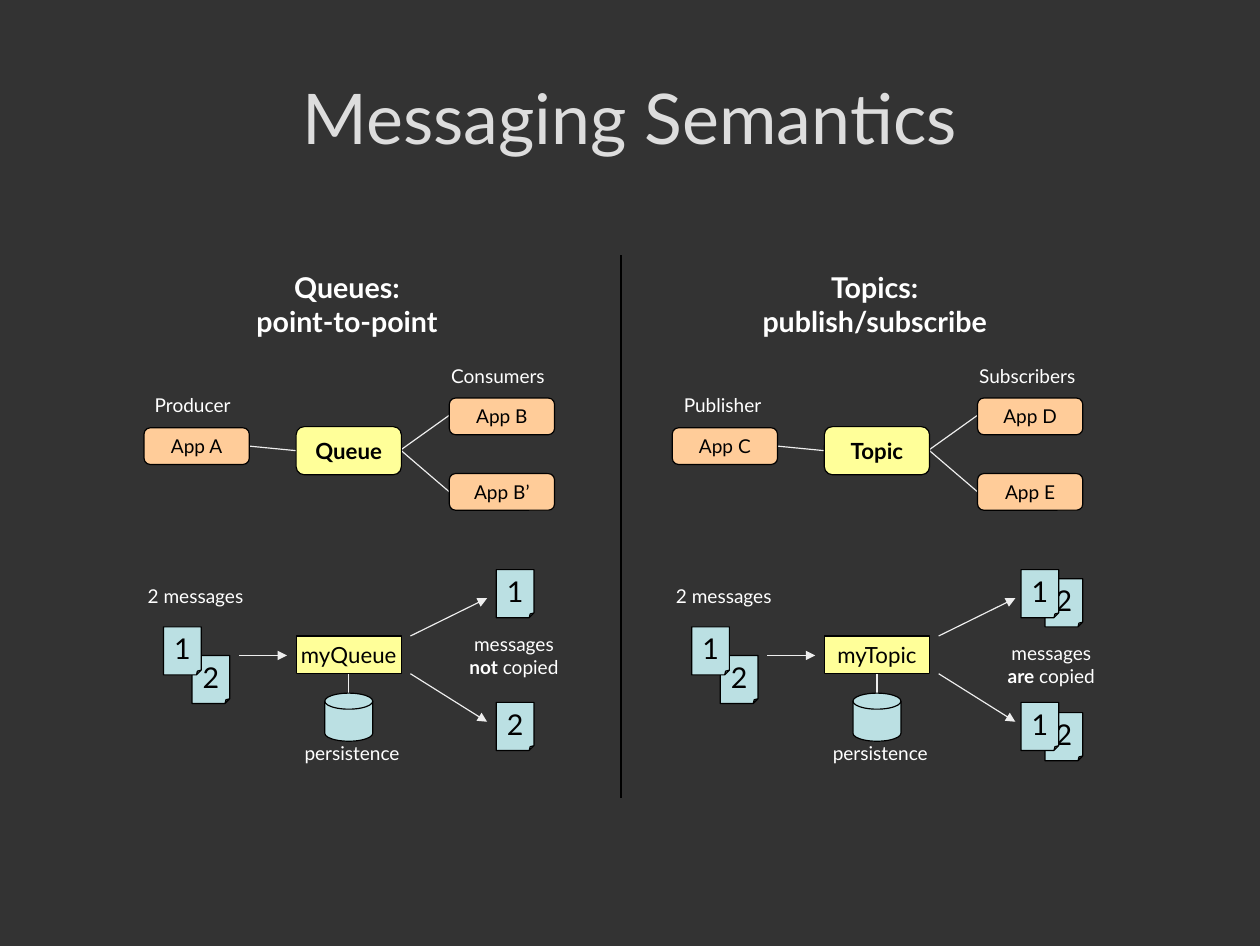
from dataclasses import dataclass

from lxml.etree import SubElement
from pptx import Presentation
from pptx.dml.color import RGBColor
from pptx.enum.shapes import MSO_CONNECTOR, MSO_SHAPE as Kind
from pptx.enum.text import MSO_ANCHOR, MSO_AUTO_SIZE, PP_ALIGN
from pptx.oxml.ns import qn
from pptx.util import Pt

PX = 9144  # EMU in one px, 100 px to the inch


@dataclass(frozen=True)
class Theme:
    font: str = "Lato"
    back: str = "333333"
    title: str = "DDDDDD"
    light: str = "FFFFFF"
    dark: str = "000000"
    link: str = "EEEEEE"
    app: str = "FFCC99"
    hub: str = "FFFF99"
    message: str = "BBE0E3"
    title_size: int = 44
    large: int = 18
    medium: int = 14
    small: int = 12
    hairline: float = 0.75


THEME = Theme()


@dataclass(frozen=True)
class Span:
    text: str
    bold: bool = False


@dataclass(frozen=True)
class Caption:
    lines: list[list[Span]]
    center: int
    top: int
    width: int
    height: int = 30
    size: int = THEME.small


@dataclass(frozen=True)
class Node:
    kind: Kind
    x: int
    y: int
    width: int
    height: int
    fill: str
    text: str = ""
    size: int = THEME.small
    bold: bool = False


@dataclass(frozen=True)
class Link:
    x1: int
    y1: int
    x2: int
    y2: int
    arrow: bool = False


@dataclass(frozen=True)
class Panel:
    left: int
    hub: str
    store: str
    apps: tuple[str, str, str]
    captions: list[Caption]
    received: list[tuple[str, int, int]]


def plain(text: str, bold: bool = False) -> list[Span]:
    return [Span(text, bold)]


def write(frame, lines: list[list[Span]], *, size: int, color: str,
          anchor=MSO_ANCHOR.TOP, wrap: bool = False) -> None:
    frame.word_wrap = wrap
    frame.vertical_anchor = anchor
    for number, line in enumerate(lines):
        para = frame.add_paragraph() if number else frame.paragraphs[0]
        para.alignment = PP_ALIGN.CENTER
        for part in line:
            span = para.add_run()
            span.text = part.text
            span.font.name = THEME.font
            span.font.size = Pt(size)
            span.font.bold = part.bold
            span.font.color.rgb = RGBColor.from_string(color)


def add_caption(page, caption: Caption, left: int = 0, **style) -> None:
    x = left + caption.center - caption.width // 2
    box = page.shapes.add_textbox(x * PX, caption.top * PX,
                                  caption.width * PX, caption.height * PX)
    write(box.text_frame, caption.lines, size=caption.size,
          **{"color": THEME.light, **style})
    box.text_frame.auto_size = MSO_AUTO_SIZE.SHAPE_TO_FIT_TEXT


def add_node(page, node: Node, left: int) -> None:
    box = page.shapes.add_shape(node.kind, (left + node.x) * PX, node.y * PX,
                                node.width * PX, node.height * PX)
    box.shadow.inherit = False
    box.fill.solid()
    box.fill.fore_color.rgb = RGBColor.from_string(node.fill)
    box.line.color.rgb = RGBColor.from_string(THEME.dark)
    box.line.width = Pt(THEME.hairline)
    if node.kind == Kind.FOLDED_CORNER:
        guides = next(box.element.iter(qn("a:avLst")))
        SubElement(guides, qn("a:gd"), name="adj", fmla="val 12500")
    if node.text:
        write(box.text_frame, [plain(node.text, node.bold)], size=node.size,
              color=THEME.dark, anchor=MSO_ANCHOR.MIDDLE)


def add_link(page, link: Link, left: int = 0, color: str = THEME.link,
             width: float = THEME.hairline) -> None:
    line = page.shapes.add_connector(
        MSO_CONNECTOR.STRAIGHT, (left + link.x1) * PX, link.y1 * PX,
        (left + link.x2) * PX, link.y2 * PX)
    line.line.color.rgb = RGBColor.from_string(color)
    line.line.width = Pt(width)
    properties = line.element.spPr
    if link.arrow:
        SubElement(properties.find(qn("a:ln")), qn("a:tailEnd"), type="triangle")
    SubElement(properties, qn("a:effectLst"))


def app(text: str, x: int, y: int) -> Node:
    return Node(Kind.FLOWCHART_ALTERNATE_PROCESS, x, y, 92, 32, THEME.app, text)


def sheet(text: str, x: int, y: int) -> Node:
    return Node(Kind.FOLDED_CORNER, x, y, 33, 42, THEME.message, text, THEME.large)


LINKS = [
    Link(218, 390, 259, 394), Link(351, 393, 393, 363), Link(351, 394, 393, 430),
    Link(305, 589, 305, 606), Link(209, 573, 251, 573, arrow=True),
    Link(359, 556, 426, 523, arrow=True), Link(359, 589, 426, 631, arrow=True),
]
SHARED_CAPTIONS = [
    Caption([plain("2 messages")], 171, 506, 112),
    Caption([plain("persistence")], 308, 643, 110),
]
PANELS = [
    Panel(0, "Queue", "myQueue", ("App A", "App B", "App B’"), [
        Caption([plain("Queues:", True), plain("point-to-point", True)],
                303, 231, 195, 70, THEME.large),
        Caption([plain("Producer")], 168, 339, 91),
        Caption([plain("Consumers")], 435, 314, 109),
        Caption([plain("messages"), [Span("not", True), Span(" copied")]],
                449, 548, 105, 50),
    ], [("2", 434, 614), ("1", 434, 498)]),
    Panel(462, "Topic", "myTopic", ("App C", "App D", "App E"), [
        Caption([plain("Topics:", True), plain("publish/subscribe", True)],
                303, 231, 242, 70, THEME.large),
        Caption([plain("Publisher")], 170, 339, 94),
        Caption([plain("Subscribers")], 436, 314, 111),
        Caption([plain("messages"), [Span("are", True), Span(" copied")]],
                457, 556, 113, 50),
    ], [("2", 452, 506), ("1", 431, 498), ("2", 452, 623), ("1", 431, 614)]),
]


def add_panel(page, panel: Panel) -> None:
    sender, first, second = panel.apps
    nodes = [
        # Applications around the destination
        app(sender, 126, 374), app(first, 393, 348), app(second, 393, 414),
        Node(Kind.FLOWCHART_ALTERNATE_PROCESS, 259, 373, 92, 42, THEME.hub,
             panel.hub, THEME.medium, bold=True),
        # Message flow and its storage
        sheet("2", 168, 573), sheet("1", 143, 548),
        Node(Kind.FLOWCHART_MAGNETIC_DISK, 284, 606, 42, 42, THEME.message),
        Node(Kind.FLOWCHART_PROCESS, 259, 556, 92, 33, THEME.hub,
             panel.store, THEME.medium),
        *(sheet(*place) for place in panel.received),
    ]
    for link in LINKS:
        add_link(page, link, panel.left)
    for node in nodes:
        add_node(page, node, panel.left)
    for caption in panel.captions + SHARED_CAPTIONS:
        add_caption(page, caption, panel.left)


def main() -> None:
    deck = Presentation()
    deck.slide_width, deck.slide_height = 1102 * PX, 827 * PX
    page = deck.slides.add_slide(deck.slide_layouts[6])
    page.background.fill.solid()
    page.background.fill.fore_color.rgb = RGBColor.from_string(THEME.back)

    # Title
    title = Caption([plain("Messaging Semantics")], 551, 33, 992, 138, THEME.title_size)
    add_caption(page, title, color=THEME.title, anchor=MSO_ANCHOR.MIDDLE, wrap=True)

    # Two panels and the divider between them
    for panel in PANELS:
        add_panel(page, panel)
    add_link(page, Link(543, 223, 543, 698), color=THEME.dark, width=1)

    deck.save("out.pptx")


if __name__ == "__main__":
    main()
